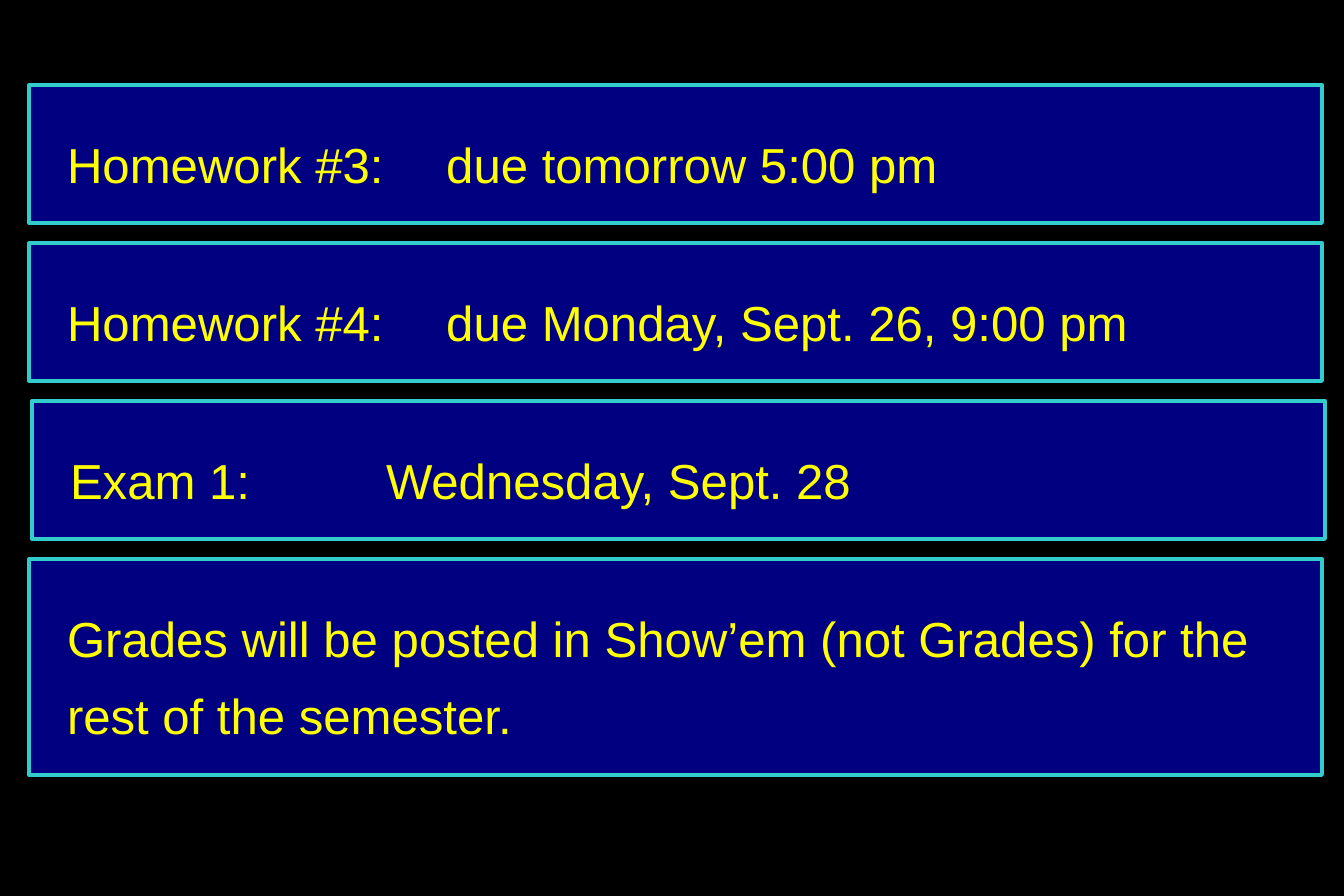
import pptx
import pptx.dml.color
import pptx.enum.shapes
import pptx.enum.text
import pptx.util

PX = 914400 / 126.4


def px(length):
    return pptx.util.Emu(round(length * PX))


def color(hex_string):
    return pptx.dml.color.RGBColor.from_string(hex_string)


deck = pptx.Presentation()
deck.slide_width, deck.slide_height = px(1344), px(896)
slide = deck.slides.add_slide(deck.slide_layouts[6])
slide.background.fill.solid()
slide.background.fill.fore_color.rgb = color("000000")

FIRST_TOP, PITCH = 85, 158
announcements = [  # left, height, wording
    (29, 138, "Homework #3: \tdue tomorrow 5:00 pm"),
    (29, 138, "Homework #4: \tdue Monday, Sept. 26, 9:00 pm"),
    (32, 138, "Exam 1: \t\tWednesday, Sept. 28"),
    (29, 216, "Grades will be posted in Show’em (not Grades) for the rest of the semester."),
]

for row, (left, height, wording) in enumerate(announcements):
    panel = slide.shapes.add_shape(
        pptx.enum.shapes.MSO_SHAPE.RECTANGLE,
        px(left), px(FIRST_TOP + row * PITCH), px(1293), px(height))
    panel.shadow.inherit = False
    panel.fill.solid()
    panel.fill.fore_color.rgb = color("000080")
    panel.line.color.rgb = color("33CCCC")
    panel.line.width = pptx.util.Pt(2.25)

    frame = panel.text_frame
    frame.word_wrap = True
    frame.auto_size = pptx.enum.text.MSO_AUTO_SIZE.SHAPE_TO_FIT_TEXT
    frame.vertical_anchor = pptx.enum.text.MSO_ANCHOR.TOP
    frame.margin_left = frame.margin_right = px(38)
    frame.margin_top = frame.margin_bottom = px(32)

    announcement = frame.paragraphs[0]
    announcement.alignment = pptx.enum.text.PP_ALIGN.LEFT
    announcement.line_spacing = 1.3
    run = announcement.add_run()
    run.text = wording
    run.font.name = "Arial"
    run.font.size = pptx.util.Pt(28)
    run.font.color.rgb = color("FFFF00")

deck.save("out.pptx")
